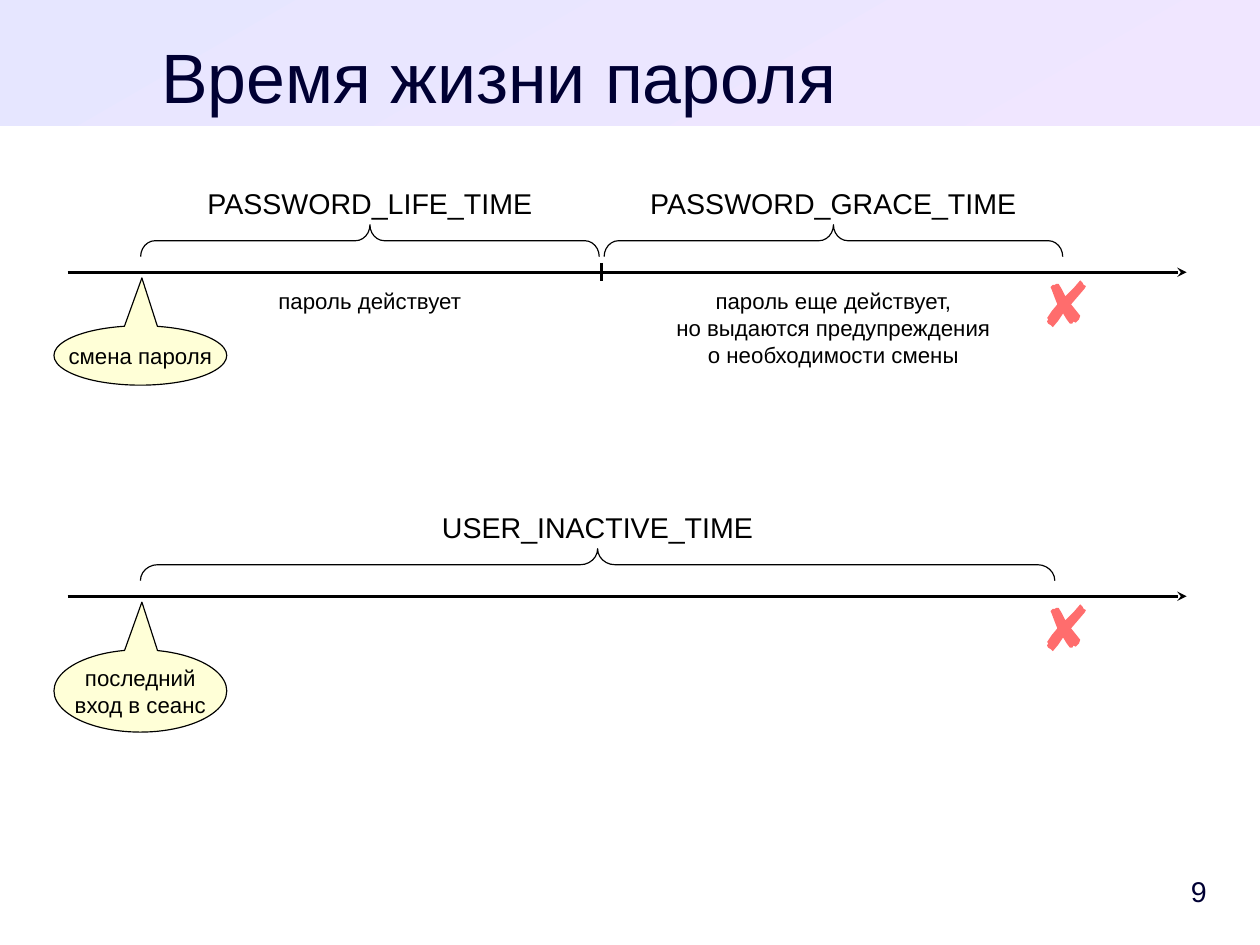
from lxml import etree
from pptx import Presentation
from pptx.dml.color import RGBColor
from pptx.enum.shapes import MSO_CONNECTOR, MSO_SHAPE
from pptx.enum.text import MSO_ANCHOR, MSO_AUTO_SIZE, PP_ALIGN
from pptx.oxml.ns import qn
from pptx.util import Cm, Pt

RECT, BRACE, CALLOUT = MSO_SHAPE.RECTANGLE, MSO_SHAPE.LEFT_BRACE, MSO_SHAPE.OVAL_CALLOUT
STRAIGHT = MSO_CONNECTOR.STRAIGHT
CENTER, RIGHT = PP_ALIGN.CENTER, PP_ALIGN.RIGHT
TOP, MIDDLE = MSO_ANCHOR.TOP, MSO_ANCHOR.MIDDLE
NO_FIT = MSO_AUTO_SIZE.NONE

COLORS = {"ink": "000000", "navy": "000033", "callout": "FFFFD7", "cross": "FF6D6D",
          "band_start": "E6E6FF", "band_end": "F0E6FF"}
COLORS = {name: RGBColor.from_string(value) for name, value in COLORS.items()}

BRACE_DEPTH, BRACE_Y = 0.71, 5.35
AXIS_Y, AXIS_LEFT, AXIS_RIGHT = 6.05, 1.5, 26.37
ROW_STEP = 7.2
CROSS = [(34, 5), (33, 7), (27, 14), (21, 21), (29, 31), (28, 34), (26, 36), (25, 37),
         (23, 36), (22, 38), (20, 38), (17, 34), (14, 29), (10, 35), (5, 41), (3, 39),
         (1, 38), (0, 36), (1, 34), (0, 33), (4, 27), (9, 21), (7, 16), (4, 8), (3, 6),
         (5, 4), (7, 4), (8, 3), (10, 3), (13, 8), (16, 14), (23, 7), (29, 0), (31, 2),
         (32, 4)]


def write(sp, text, size, color="ink", align=CENTER, **frame):
    tf = sp.text_frame
    tf.text = text
    for key, value in {"word_wrap": False, "auto_size": NO_FIT, **frame}.items():
        setattr(tf, key, value)
    for p in tf.paragraphs:
        p.alignment = align
        for key, value in {"name": "Arial", "size": Pt(size)}.items():
            setattr(p.runs[0].font, key, value)
        p.runs[0].font.color.rgb = COLORS[color]


def add_line(x1, y1, x2, y2):
    line = s.shapes.add_connector(STRAIGHT, Cm(x1), Cm(y1), Cm(x2), Cm(y2))
    line.line.color.rgb = COLORS["ink"]
    line.line.width = Pt(0)
    etree.SubElement(line.element.spPr, qn("a:effectLst"))
    return line


prs = Presentation()
prs.slide_width, prs.slide_height = Cm(28), Cm(21)
s = prs.slides.add_slide(prs.slide_layouts[5])

title = s.shapes.title
title.left, title.top, title.width, title.height = Cm(1.2), Cm(0.74), Cm(19.8), Cm(1.73)
write(title, "Время жизни пароля", 44, "navy", word_wrap=True, vertical_anchor=TOP,
      margin_left=0, margin_right=0, margin_top=0, margin_bottom=0)

band = s.shapes.add_shape(RECT, 0, 0, prs.slide_width, Cm(2.8))
band.shadow.inherit = False
band.line.fill.background()
band.fill.gradient()
band.fill.gradient_angle = 300
for stop, name in zip(band.fill.gradient_stops, ("band_start", "band_end")):
    stop.color.rgb = COLORS[name]
title.element.addprevious(band.element)

number = s.shapes.add_textbox(Cm(24.61), Cm(19.2), Cm(2.21), Cm(1.19))
write(number, "9", 18, "navy", RIGHT, vertical_anchor=MIDDLE, margin_right=0)

rows = [
    ("смена пароля", 1.32, -1.305, [
        ("PASSWORD_LIFE_TIME", 8.22, 10.19, 0.45, "пароль действует"),
        ("PASSWORD_GRACE_TIME", 18.52, 10.19, 0.45,
         "пароль еще действует,\nно выдаются предупреждения\nо необходимости смены")]),
    ("последний\nвход в сеанс", 1.83, -1.079, [
        ("USER_INACTIVE_TIME", 13.28, 20.32, 0.54, "")]),
]
for i, (event, event_height, tip, periods) in enumerate(rows):
    dy = i * ROW_STEP

    axis = add_line(AXIS_LEFT, AXIS_Y + dy, AXIS_RIGHT, AXIS_Y + dy)
    etree.SubElement(axis.line._get_or_add_ln(), qn("a:tailEnd"), type="stealth")

    callout = s.shapes.add_shape(CALLOUT, Cm(1.2), Cm(7.24 + dy), Cm(3.84), Cm(event_height))
    callout.adjustments[0], callout.adjustments[1] = 0.009, tip
    callout.shadow.inherit = False
    callout.fill.solid()
    callout.fill.fore_color.rgb = COLORS["callout"]
    callout.line.color.rgb = COLORS["ink"]
    callout.line.width = Pt(0)
    write(callout, event, 14, vertical_anchor=MIDDLE)

    for name, center, length, curve, note in periods:
        brace = s.shapes.add_shape(BRACE, Cm(center - BRACE_DEPTH / 2),
                                   Cm(BRACE_Y + dy - length / 2), Cm(BRACE_DEPTH), Cm(length))
        brace.rotation = 90
        brace.adjustments[0] = curve
        brace.shadow.inherit = False
        brace.fill.background()
        brace.line.color.rgb = COLORS["ink"]
        brace.line.width = Pt(0)

        label = s.shapes.add_textbox(Cm(center - 4.3), Cm(4.01 + dy), Cm(8.6), Cm(0.97))
        write(label, name, 18)
        if note:
            height = 0.27 + 0.55 * len(note.split("\n"))
            box = s.shapes.add_textbox(Cm(center - 3.75), Cm(6.27 + dy), Cm(7.5), Cm(height))
            write(box, note, 14)

    builder = s.shapes.build_freeform(*CROSS[0], scale=Cm(0.0254))
    builder.add_line_segments(CROSS[1:], close=True)
    cross = builder.convert_to_shape(Cm(23.27), Cm(6.23 + dy))
    cross.shadow.inherit = False
    cross.fill.solid()
    cross.fill.fore_color.rgb = COLORS["cross"]
    cross.line.fill.background()

add_line(13.36, 5.84, 13.36, 6.25)

prs.save("out.pptx")
